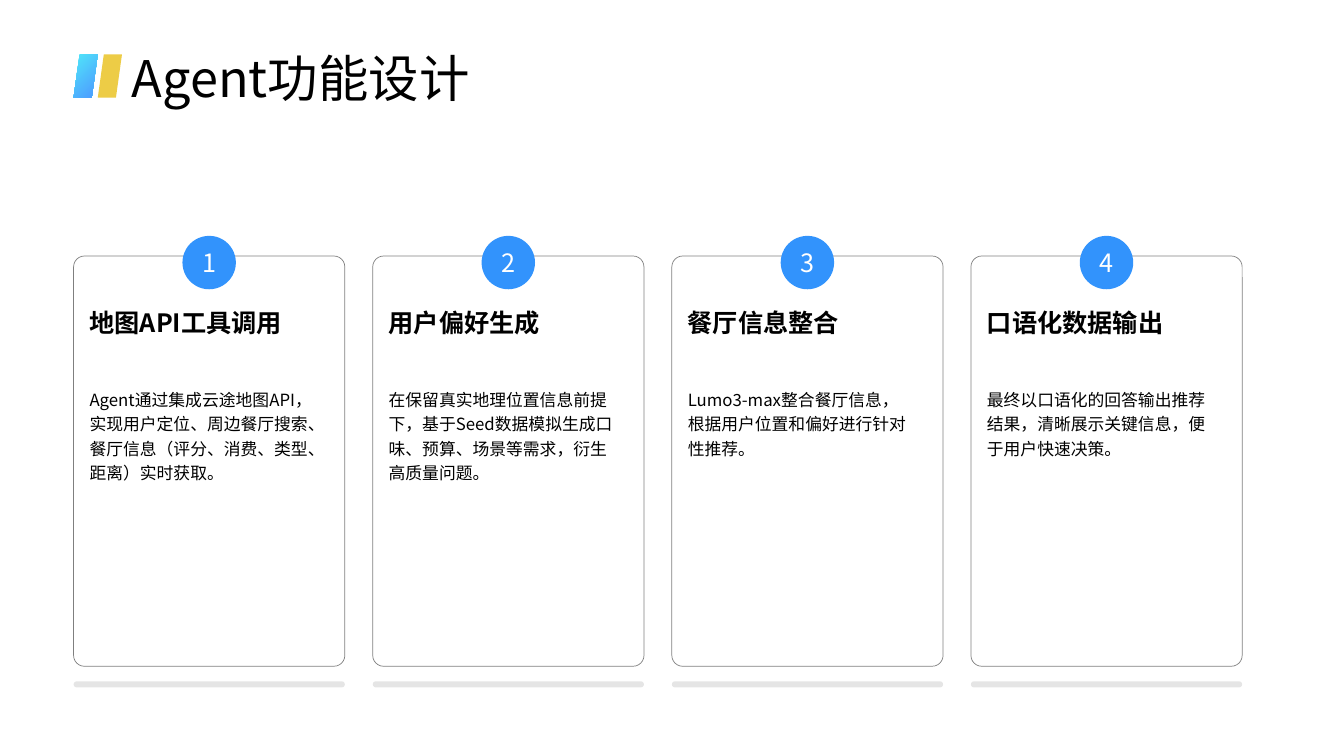
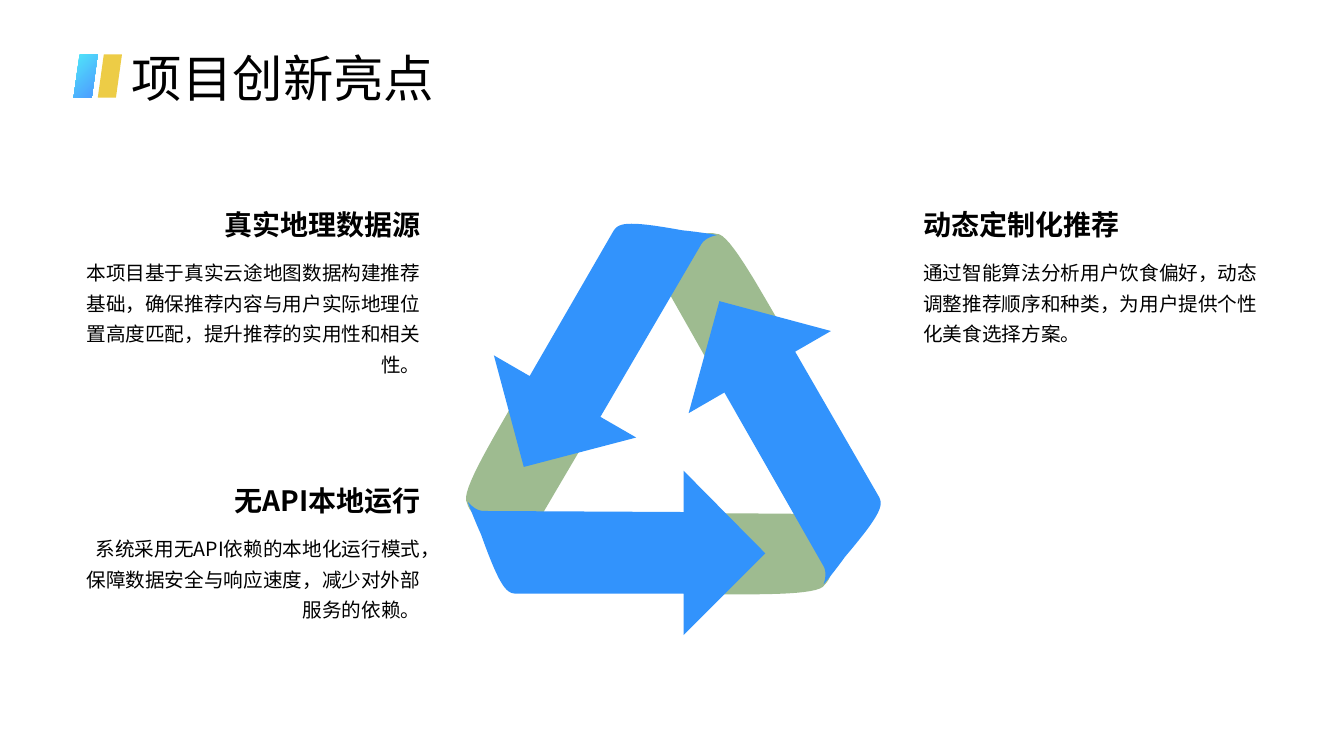
from math import cos, radians, sin

from lxml.etree import SubElement
from pptx import Presentation
from pptx.dml.color import RGBColor
from pptx.enum.shapes import MSO_SHAPE
from pptx.enum.text import MSO_ANCHOR, PP_ALIGN
from pptx.oxml.ns import qn
from pptx.util import Inches, Pt

COLORS = {
    "ink": "000000",
    "white": "FFFFFF",
    "blue": "3293FC",
    "green": "9EBB90",
    "yellow": "EDCC46",
    "cyan": "50E7F9",
    "sky": "4DA2FF",
}
FONT = "Noto Sans CJK SC"
LEFT = 0.73

CARDS = [
    ("地图API工具调用",
     "Agent通过集成云途地图API，实现用户定位、周边餐厅搜索、餐厅信息（评分、消费、类型、距离）实时获取。"),
    ("用户偏好生成",
     "在保留真实地理位置信息前提下，基于Seed数据模拟生成口味、预算、场景等需求，衍生高质量问题。"),
    ("餐厅信息整合",
     "Lumo3-max整合餐厅信息，根据用户位置和偏好进行针对性推荐。"),
    ("口语化数据输出",
     "最终以口语化的回答输出推荐结果，清晰展示关键信息，便于用户快速决策。"),
]
CARD_WIDTH = 2.69
CARD_PITCH = 8.9 / 3
BADGE_SIZE = 0.53

HIGHLIGHTS = [
    (LEFT, 1.91, PP_ALIGN.RIGHT, "真实地理数据源",
     "本项目基于真实云途地图数据构建推荐基础，确保推荐内容与用户实际地理位置高度匹配，提升推荐的实用性和相关性。"),
    (9.06, 1.91, PP_ALIGN.LEFT, "动态定制化推荐",
     "通过智能算法分析用户饮食偏好，动态调整推荐顺序和种类，为用户提供个性化美食选择方案。"),
    (LEFT, 4.65, PP_ALIGN.RIGHT, "无API本地运行",
     "系统采用无API依赖的本地化运行模式，保障数据安全与响应速度，减少对外部服务的依赖。"),
]

# Each outline step is one end point, or two control points and an end point.
CYCLE_CENTER = (6.64, 4.37)
FOLD = [
    [(8.27, 5.1)],
    [(8.26, 5.35), (8.31, 5.68), (8.18, 5.8)],
    [(8.13, 5.92), (7.41, 5.89), (6.99, 5.9)],
    [(6.99, 5.09)],
]
ARROW = [
    [(6.78, 6.3)], [(6.78, 5.89)], [(5.13, 5.89)],
    [(5.03, 5.89), (4.97, 5.86), (4.77, 5.3)],
    [(4.72, 5.19), (4.66, 5.04), (4.64, 4.98)],
    [(4.72, 5.07), (4.78, 5.07), (4.81, 5.07)],
    [(6.78, 5.08)], [(6.78, 4.67)], [(7.59, 5.49)],
]


def rgb(name):
    return RGBColor.from_string(COLORS[name])


def write_text(box, text, size=12, color="ink", bold=False, align=None,
               anchor=MSO_ANCHOR.TOP, spacing=None):
    frame = box.text_frame
    frame.word_wrap = True
    frame.vertical_anchor = anchor
    para = frame.paragraphs[0]
    para.alignment = align
    para.line_spacing = spacing
    span = para.add_run()
    span.text = text
    font = span.font
    font.size = Pt(size)
    font.bold = bold
    font.color.rgb = rgb(color)
    font.name = FONT
    SubElement(font._element, qn("a:ea"), typeface=FONT)


def flatten(outline, steps=16):
    """Turn an outline with Bezier curves into a list of points."""
    points = []
    for step in outline:
        if len(step) == 1:
            points += step
            continue
        corners = [points[-1], *step]
        for index in range(1, steps + 1):
            t = index / steps
            weights = ((1 - t) ** 3, 3 * t * (1 - t) ** 2,
                       3 * t ** 2 * (1 - t), t ** 3)
            points.append(tuple(
                sum(weight * corner[axis]
                    for weight, corner in zip(weights, corners))
                for axis in (0, 1)))
    return points


def rotate(points, degrees):
    """Turn points about the centre of the cycle."""
    center_x, center_y = CYCLE_CENTER
    cosine, sine = cos(radians(degrees)), sin(radians(degrees))
    return [(center_x + (x - center_x) * cosine - (y - center_y) * sine,
             center_y + (x - center_x) * sine + (y - center_y) * cosine)
            for x, y in points]


class Designer:
    def __init__(self):
        self.deck = Presentation()
        self.deck.slide_width = Inches(13.33)
        self.deck.slide_height = Inches(7.5)
        self.page = None

    def add_page(self, title):
        self.page = self.deck.slides.add_slide(self.deck.slide_layouts[6])
        self.shape(MSO_SHAPE.PARALLELOGRAM, 0.97, 0.54, 0.24, 0.43, "yellow")
        stripe = self.shape(MSO_SHAPE.PARALLELOGRAM, LEFT, 0.54, 0.24, 0.43)
        stripe.fill.gradient()
        stripe.fill.gradient_angle = 315
        stops = zip(stripe.fill.gradient_stops, ("cyan", "sky"), (0, 0.87))
        for stop, color, position in stops:
            stop.color.rgb = rgb(color)
            stop.position = position
        self.text(1.21, 0.42, 7.35, 0.7, title, size=36)

    def paint(self, shape, fill=None, line=None, opacity=None):
        shape.shadow.inherit = False
        if fill:
            shape.fill.solid()
            shape.fill.fore_color.rgb = rgb(fill)
        else:
            shape.fill.background()
        if line:
            shape.line.color.rgb = rgb(line)
            shape.line.width = Pt(0.5)
        else:
            shape.line.fill.background()
        if opacity is not None:
            for color in shape._element.spPr.iter(qn("a:srgbClr")):
                SubElement(color, qn("a:alpha"), val=str(opacity * 1000))

    def shape(self, kind, left, top, width, height, fill=None, line=None,
              opacity=None, corner=None):
        shape = self.page.shapes.add_shape(
            kind, Inches(left), Inches(top), Inches(width), Inches(height))
        if corner is not None:
            shape.adjustments[0] = corner
        self.paint(shape, fill, line, opacity)
        return shape

    def text(self, left, top, width, height, text, **style):
        box = self.page.shapes.add_textbox(
            Inches(left), Inches(top), Inches(width), Inches(height))
        write_text(box, text, **style)

    def polygon(self, points, fill):
        corners = [(Inches(x), Inches(y)) for x, y in points]
        builder = self.page.shapes.build_freeform(*corners[0])
        builder.add_line_segments(corners[1:], close=True)
        self.paint(builder.convert_to_shape(), fill)

    def card(self, number, left, heading, body):
        self.shape(MSO_SHAPE.ROUNDED_RECTANGLE, left, 2.54, CARD_WIDTH, 4.07,
                   line="ink", opacity=50, corner=0.04)
        self.text(left + 0.06, 3, 2.43, 0.78, heading, size=18, bold=True)
        self.text(left + 0.06, 3.78, 2.43, 2.77, body, spacing=1.2)
        badge = self.shape(MSO_SHAPE.OVAL, left + (CARD_WIDTH - BADGE_SIZE) / 2,
                           2.34, BADGE_SIZE, BADGE_SIZE, "blue")
        write_text(badge, str(number), size=18, color="white",
                   align=PP_ALIGN.CENTER, anchor=MSO_ANCHOR.MIDDLE)
        self.shape(MSO_SHAPE.ROUNDED_RECTANGLE, left, 6.76, CARD_WIDTH, 0.06,
                   "ink", opacity=10, corner=0.5)

    def cycle(self):
        for outline, color in ((FOLD, "green"), (ARROW, "blue")):
            points = flatten(outline)
            for degrees in (0, 120, 240):
                self.polygon(rotate(points, degrees), color)

    def highlight(self, left, top, align, heading, body):
        self.text(left, top + 0.56, 3.54, 1.62, body, size=14, align=align,
                  spacing=1.3)
        self.text(left, top, 3.54, 0.53, heading, size=20, bold=True,
                  align=align, anchor=MSO_ANCHOR.BOTTOM, spacing=1.3)


def main():
    designer = Designer()

    designer.add_page("Agent功能设计")
    for index, (heading, body) in enumerate(CARDS):
        designer.card(index + 1, LEFT + index * CARD_PITCH, heading, body)

    designer.add_page("项目创新亮点")
    designer.cycle()
    for highlight in HIGHLIGHTS:
        designer.highlight(*highlight)

    designer.deck.save("out.pptx")


if __name__ == "__main__":
    main()
